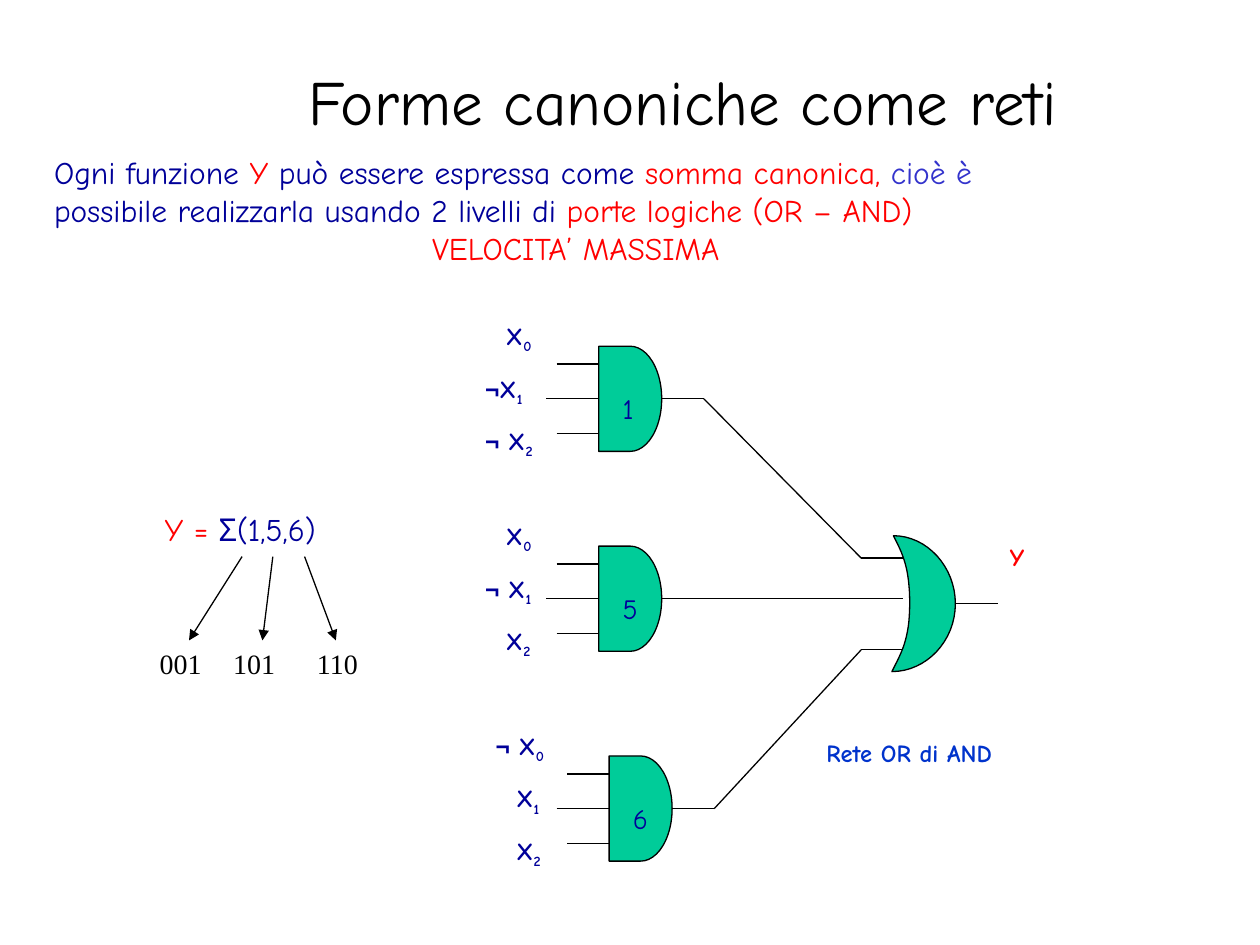
import pptx
import pptx.dml.color
import pptx.enum.shapes
import pptx.enum.text
import pptx.oxml
import pptx.oxml.ns
import pptx.util
from pptx.util import Cm

COMIC = "Comic Neue"
BLACK, NAVY, RED, VIOLET, BLUE, GREEN = (
    "000000", "000099", "FF0000", "3333CC", "0033CC", "00CC99")
GATE_WIDTH, GATE_HEIGHT = 1.27, 2.12
STUB = 0.85


def color(value):
    return pptx.dml.color.RGBColor.from_string(value)


def add_span(para, text, size, ink, font=COMIC, bold=False, subscript=False):
    span = para.add_run()
    span.text = text
    span.font.name = font
    span.font.size = pptx.util.Pt(size)
    span.font.bold = bold
    span.font.color.rgb = color(ink)
    if subscript:
        span.font._element.set("baseline", "-25000")


def add_box(page, left, top, width, height, wrap=True):
    """Add a text box and return its first paragraph and its frame."""
    frame = page.shapes.add_textbox(Cm(left), Cm(top), Cm(width), Cm(height)).text_frame
    frame.word_wrap = wrap
    return frame.paragraphs[0], frame


def add_label(page, left, top, width, text, size, ink, **style):
    para, _ = add_box(page, left, top, width, 0.94, wrap=False)
    add_span(para, text, size, ink, **style)


def add_line(page, start, end, arrow=False):
    line = page.shapes.add_connector(
        pptx.enum.shapes.MSO_CONNECTOR.STRAIGHT, *map(Cm, start + end))
    line.line.color.rgb = color(BLACK)
    line.line.width = pptx.util.Pt(0.75)
    if arrow:
        tail = pptx.oxml.parse_xml(
            f'<a:tailEnd {pptx.oxml.ns.nsdecls("a")} type="triangle"/>')
        line.line._get_or_add_ln().append(tail)
    line._element.spPr.append(
        pptx.oxml.parse_xml(f'<a:effectLst {pptx.oxml.ns.nsdecls("a")}/>'))
    return line


def paint_gate(shape):
    shape.shadow.inherit = False
    shape.fill.solid()
    shape.fill.fore_color.rgb = color(GREEN)
    shape.line.color.rgb = color(BLACK)
    shape.line.width = pptx.util.Pt(0.75)


def add_input_label(page, gate_left, top, negation, index):
    left = gate_left - (2.54 if negation else 2.12)
    para, _ = add_box(page, left, top, 1.7, 0.94)
    if negation:
        add_span(para, "¬", 14, NAVY, font="Arial", bold=True)
    add_span(para, negation[1:] + "X", 14, NAVY, bold=True)
    add_span(para, str(index), 14, NAVY, bold=True, subscript=True)


def add_and_gate(page, left, top, minterm, negations):
    """Draw an AND gate with its inputs and return the end of its output."""
    gate = page.shapes.add_shape(
        pptx.enum.shapes.MSO_SHAPE.FLOWCHART_DELAY,
        Cm(left), Cm(top), Cm(GATE_WIDTH), Cm(GATE_HEIGHT))
    paint_gate(gate)
    middle = top + GATE_HEIGHT / 2
    right = left + GATE_WIDTH
    for y in (middle - 0.7, middle + 0.7):
        add_line(page, (left - STUB, y), (left, y))
    add_line(page, (left - 1.06, middle), (left, middle)).end_connect(gate, 1)
    output = (right + STUB, middle)
    add_line(page, (right, middle), output).begin_connect(gate, 3)
    for index, negation in enumerate(negations):
        add_input_label(page, left, top - 0.63 + 1.06 * index, negation, index)
    add_label(page, left + 0.23, top + 0.79, 0.8, minterm, 16, NAVY)
    return output


def bezier(start, first, second, end, steps=16):
    for step in range(1, steps + 1):
        t = step / steps
        yield tuple(
            Cm((1 - t) ** 3 * a + 3 * (1 - t) ** 2 * t * b
               + 3 * (1 - t) * t ** 2 * c + t ** 3 * d)
            for a, b, c, d in zip(start, first, second, end))


def add_or_gate(page, pin_ends):
    start = (17.98, 13.54)
    curves = [
        ((18.16, 13.18), (18.34, 12.9), (18.34, 12.17)),
        ((18.34, 11.43), (18.19, 11.15), (18.01, 10.8)),
        ((18.69, 10.8), (19.26, 11.43), (19.26, 12.17)),
        ((19.26, 12.93), (18.67, 13.54), start),
    ]
    builder = page.shapes.build_freeform(Cm(start[0]), Cm(start[1]))
    point = start
    for first, second, end in curves:
        builder.add_line_segments(list(bezier(point, first, second, end)), close=False)
        point = end
    builder.add_line_segments([], close=True)
    paint_gate(builder.convert_to_shape())
    for x, y in pin_ends:
        add_line(page, (x, y), (x + STUB, y))
    add_line(page, (19.26, 12.17), (20.11, 12.17))


def add_heading(page):
    para, frame = add_box(page, 3.18, 1.07, 21.16, 1.9)
    frame.vertical_anchor = pptx.enum.text.MSO_ANCHOR.MIDDLE
    para.alignment = pptx.enum.text.PP_ALIGN.CENTER
    add_span(para, "Forme canoniche come reti", 36, BLACK)


def add_statement(page):
    lines = [
        [("Ogni funzione ", NAVY), ("Y", RED), (" può essere espressa come ", NAVY),
         ("somma canonica, ", RED), ("cioè è", VIOLET)],
        [("possibile realizzarla usando 2 livelli di ", NAVY),
         ("porte logiche (OR – AND)", RED)],
        [("VELOCITA’ MASSIMA", RED)],
    ]
    para, frame = add_box(page, 0.84, 2.97, 22.86, 2.54)
    for number, spans in enumerate(lines):
        if number:
            para = frame.add_paragraph()
        for text, ink in spans:
            add_span(para, text, 18, ink)
    # The last line is indented
    para._p.get_or_add_pPr().set("marL", str(Cm(7.62)))


def add_function(page):
    para, _ = add_box(page, 3.07, 10.16, 3.81, 1.02, wrap=False)
    add_span(para, "Y = ", 18, RED)
    add_span(para, "Σ(1,5,6)", 18, NAVY)
    minterms = [("001", 2.97, 4.88, 3.81), ("101", 4.45, 5.5, 5.29),
                ("110", 6.14, 6.14, 6.77)]
    for code, left, tail_x, head_x in minterms:
        add_label(page, left, 12.91, 1.35, code, 16, BLACK, font="Times New Roman")
        add_line(page, (tail_x, 11.22), (head_x, 12.91), arrow=True)


def main():
    deck = pptx.Presentation()
    deck.slide_width, deck.slide_height = Cm(25.4), Cm(19.05)
    page = deck.slides.add_slide(deck.slide_layouts[6])

    # Text and canonical sum
    add_heading(page)
    add_statement(page)
    add_function(page)

    # Two-level network
    and_gates = [
        (12.07, 6.98, "1", ("", "¬", "¬ ")),
        (12.07, 11.01, "5", ("", "¬ ", "")),
        (12.28, 15.24, "6", ("¬ ", "", "")),
    ]
    pin_ends = [(17.36, y) for y in (11.25, 12.07, 13.1)]
    add_or_gate(page, pin_ends)
    for gate, pin_end in zip(and_gates, pin_ends):
        add_line(page, add_and_gate(page, *gate), pin_end)

    # Output and caption
    add_label(page, 20.11, 10.8, 1.27, "Y", 14, RED, bold=True)
    add_label(page, 16.41, 14.76, 3.86, "Rete OR di AND", 14, BLUE, bold=True)

    deck.save("out.pptx")


if __name__ == "__main__":
    main()
